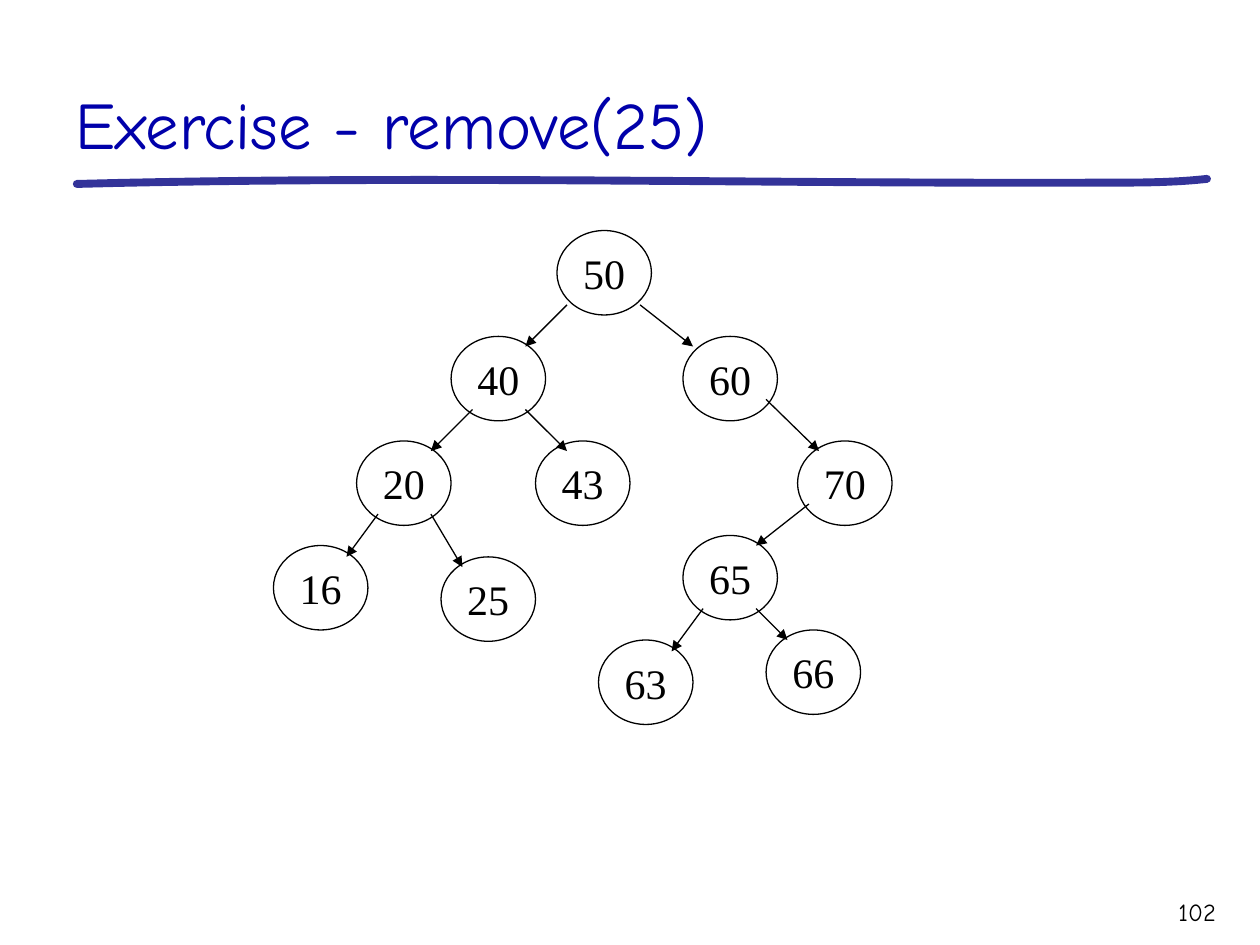
from pptx import Presentation
from pptx.dml.color import RGBColor
from pptx.enum.shapes import MSO_CONNECTOR, MSO_SHAPE
from pptx.enum.text import MSO_ANCHOR, MSO_AUTO_SIZE, PP_ALIGN
from pptx.oxml import parse_xml
from pptx.oxml.ns import nsdecls, qn
from pptx.util import Inches, Pt

OVAL = MSO_SHAPE.OVAL
STRAIGHT = MSO_CONNECTOR.STRAIGHT
TOP, MIDDLE, BOTTOM = MSO_ANCHOR.TOP, MSO_ANCHOR.MIDDLE, MSO_ANCHOR.BOTTOM
LEFT, CENTER, RIGHT = PP_ALIGN.LEFT, PP_ALIGN.CENTER, PP_ALIGN.RIGHT
NO_FIT = MSO_AUTO_SIZE.NONE

BLACK = RGBColor(0, 0, 0)
BLUE = RGBColor(0x00, 0x00, 0xAA)
INDIGO = RGBColor(0x33, 0x33, 0x99)

TITLE = {"name": "Comic Neue", "size": Pt(38)}
NUMBER = {"name": "Comic Neue", "size": Pt(14)}
KEY = {"name": "Times New Roman", "size": Pt(24)}

NODES = {
    "50": (4.42, 1.83),
    "60": (5.42, 2.67),
    "70": (6.33, 3.5),
    "65": (5.42, 4.25),
    "63": (4.75, 5.08),
    "66": (6.08, 5),
    "40": (3.58, 2.67),
    "43": (4.25, 3.5),
    "20": (2.83, 3.5),
    "16": (2.17, 4.33),
    "25": (3.5, 4.42),
}
EDGES = [
    (4.5, 2.42, 4.17, 2.75),
    (5.08, 2.42, 5.5, 2.75),
    (3.75, 3.25, 3.42, 3.58),
    (3, 4.08, 2.75, 4.42),
    (4.17, 3.25, 4.5, 3.58),
    (6.08, 3.17, 6.5, 3.58),
    (6.42, 4, 6, 4.33),
    (5.58, 4.83, 5.33, 5.17),
    (6, 4.83, 6.25, 5.08),
    (3.42, 4.08, 3.67, 4.5),
]
CURVES = [
    ((0.61, 1.46), (3.33, 1.39), (6.05, 1.46), (8.76, 1.45)),
    ((8.76, 1.45), (9.04, 1.45), (9.31, 1.45), (9.58, 1.42)),
]
STEPS = 24


def write(shape, text, style, color, align, anchor, wrap=True):
    frame = shape.text_frame
    frame.text = text
    frame.auto_size = NO_FIT
    frame.word_wrap = wrap
    frame.vertical_anchor = anchor
    para = frame.paragraphs[0]
    para.alignment = align
    for name, value in style.items():
        setattr(para.font, name, value)
    para.font.color.rgb = color


def stroke(shape, color, width):
    shape.line.color.rgb = color
    shape.line.width = Pt(width)
    return shape._element.spPr.find(qn("a:ln"))


def bezier(points, t):
    weights = ((1 - t) ** 3, 3 * t * (1 - t) ** 2, 3 * t * t * (1 - t), t ** 3)
    return tuple(
        Inches(sum(w * p[axis] for w, p in zip(weights, points))) for axis in (0, 1)
    )


def add_title(slide, text):
    title = slide.shapes.title
    box = {"left": 0.5, "top": 0.17, "width": 9.25, "height": 1.17}
    for name, value in box.items():
        setattr(title, name, Inches(value))
    write(title, text, TITLE, BLUE, LEFT, BOTTOM)


def add_rule(slide):
    dots = [bezier(curve, i / STEPS) for curve in CURVES for i in range(1, STEPS + 1)]
    pen = slide.shapes.build_freeform(*bezier(CURVES[0], 0))
    pen.add_line_segments(dots, close=False)
    rule = pen.convert_to_shape()
    rule.shadow.inherit = False
    rule.fill.background()
    line = stroke(rule, INDIGO, 4.5)
    line.set("cap", "rnd")
    line.append(parse_xml(f"<a:round {nsdecls('a')}/>"))


def add_node(slide, key, left, top):
    node = slide.shapes.add_shape(OVAL, Inches(left), Inches(top), Inches(0.75), Inches(0.67))
    node.shadow.inherit = False
    node.fill.background()
    stroke(node, BLACK, 0.75)
    write(node, key, KEY, BLACK, CENTER, MIDDLE, wrap=False)


def add_edge(slide, ends):
    edge = slide.shapes.add_connector(STRAIGHT, *map(Inches, ends))
    line = stroke(edge, BLACK, 0.75)
    line.append(parse_xml(f'<a:tailEnd {nsdecls("a")} type="triangle"/>'))
    edge._element.spPr.append(parse_xml(f"<a:effectLst {nsdecls('a')}/>"))


def add_number(slide, text):
    box = slide.shapes.add_textbox(Inches(8.75), Inches(7.07), Inches(1), Inches(0.35))
    write(box, text, NUMBER, BLACK, RIGHT, TOP)


def main():
    deck = Presentation()
    deck.slide_width, deck.slide_height = Inches(10), Inches(7.5)
    slide = deck.slides.add_slide(deck.slide_layouts[5])
    add_rule(slide)
    add_title(slide, "Exercise - remove(25)")
    add_number(slide, "102")
    for key, spot in NODES.items():
        add_node(slide, key, *spot)
    for ends in EDGES:
        add_edge(slide, ends)
    deck.save("out.pptx")


if __name__ == "__main__":
    main()
